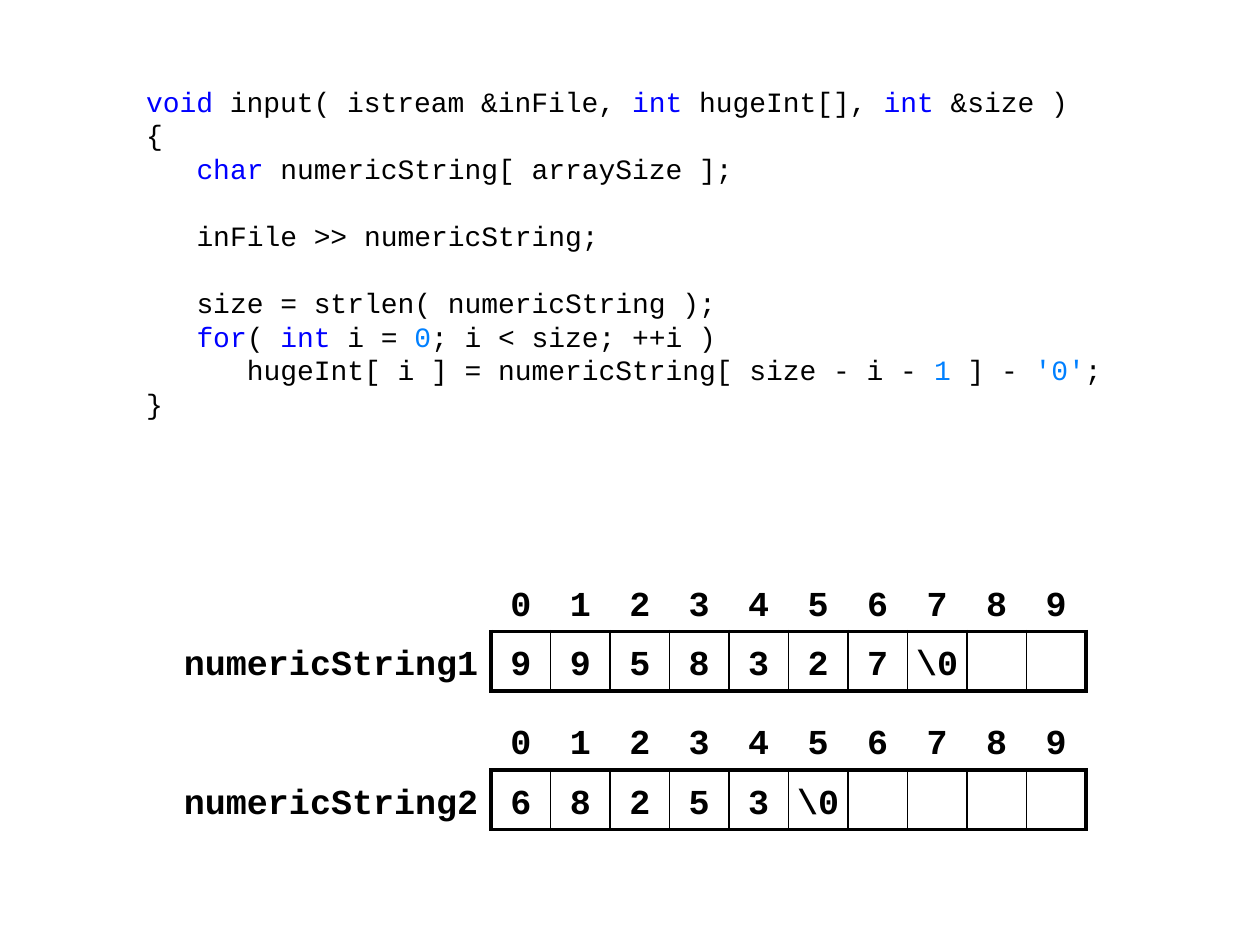
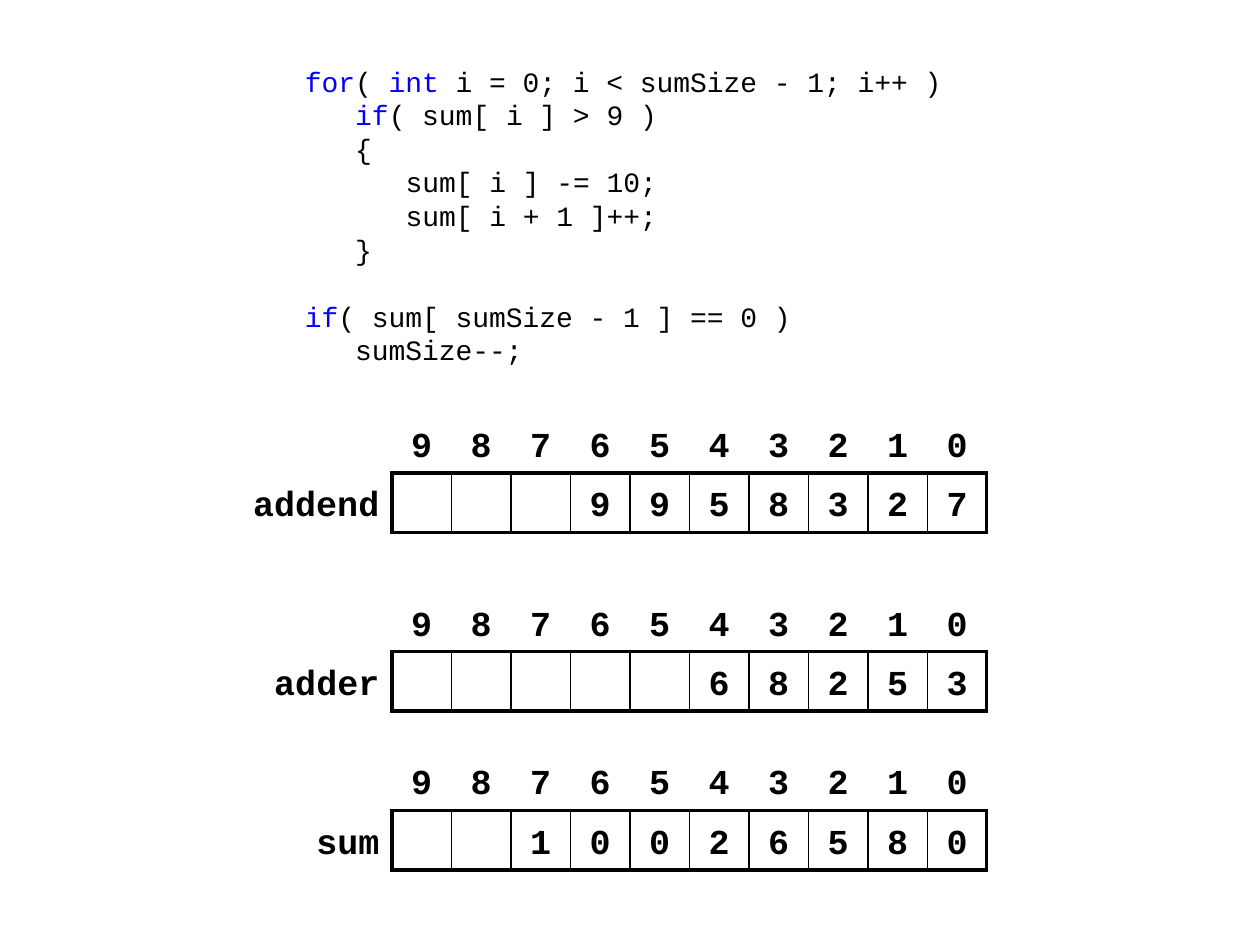
from pptx import Presentation
from pptx import util as u
from pptx.dml.color import RGBColor
from pptx.enum import text
from pptx.oxml.ns import qn
from lxml import etree

Pt = u.Pt
FONT = "Courier New"
BLACK, KEY, NUM = "000000", "0000FF", "0080FF"
CODE, PITCH, CHAR = 16, 19.2, 9.6   # code size, line pitch, letter width
BOX, THICK, THIN = 34, 2.25, 1      # array cell side and its borders
PLAIN = "{2D5ABB26-0587-4C30-8999-92F81FD0307C}"  # table style without grid

UP = "0123456789"
DOWN = UP[::-1]

# Words between backticks are coloured; leading spaces give the indent.
READ = """\
`void` input( istream &inFile, `int` hugeInt[], `int` &size )
{
   `char` numericString[ arraySize ];

   inFile >> numericString;

   size = strlen( numericString );
   `for`( `int` i = `0`; i < size; ++i )
      hugeInt[ i ] = numericString[ size - i - `1` ] - `'0'`;
}"""
CARRY = """\
`for`( `int` i = 0; i < sumSize - 1; i++ )
   `if`( sum[ i ] > 9 )
   {
      sum[ i ] -= 10;
      sum[ i + 1 ]++;
   }

`if`( sum[ sumSize - 1 ] == 0 )
   sumSize--;"""

# Arrays: name, top, width of the name column, values in display order
SLIDES = [
    dict(code=READ, box=(76.3, 43.2, 567.4, 203.8), right=620.6, index=UP,
         arrays=[("numericString1", 326.9, 181.4, [*"9958327", "\\0", "", ""]),
                 ("numericString2", 406.1, 181.4, [*"68253", "\\0", *[""] * 4])]),
    dict(code=CARRY, box=(167, 31.7, 386, 193), right=564, index=DOWN,
         arrays=[("addend", 236.2, 90.7, [*[""] * 3, *"9958327"]),
                 ("adder", 338.4, 79.4, [*[""] * 5, *"68253"]),
                 ("sum", 429.1, 56.7, [*[""] * 2, *"10026580"])]),
]


def style(font, size, color=BLACK, bold=False):
    """Set face, size, colour and weight of a font."""
    font.name, font.size, font.bold = FONT, Pt(size), bold
    font.color.rgb = RGBColor.from_string(color)


def add_code(slide, code, box):
    """Put coloured code into the body placeholder."""
    body = slide.placeholders[1]
    body.left, body.top, body.width, body.height = map(Pt, box)
    frame = body.text_frame
    frame.auto_size = text.MSO_AUTO_SIZE.NONE
    frame.vertical_anchor = text.MSO_ANCHOR.TOP
    frame.margin_top = Pt(5)
    gap, para = 0, None
    for line in code.split("\n"):
        if not line:
            gap += PITCH
            continue
        para = frame.add_paragraph() if para else frame.paragraphs[0]
        para.space_before, para.line_spacing = Pt(gap), Pt(PITCH)
        gap = 0
        style(para.font, CODE)
        bare = line.lstrip()
        props = para._p.get_or_add_pPr()
        props.set("marL", str(Pt((len(line) - len(bare)) * CHAR)))
        props.set("indent", "0")
        mark = etree.Element(qn("a:buNone"))
        props.find(qn("a:defRPr")).addprevious(mark)
        for i, part in enumerate(bare.split("`")):
            if part:
                run = para.add_run()
                run.text = part
                if i % 2:
                    color = KEY if part.isalpha() else NUM
                    run.font.color.rgb = RGBColor.from_string(color)


def add_edges(cell, edges):
    """Draw black cell borders from a dict of side to width."""
    props = cell._tc.get_or_add_tcPr()
    for side in "LRTB":
        if side in edges:
            line = etree.SubElement(props, qn("a:ln" + side), w=str(Pt(edges[side])))
            fill = etree.SubElement(line, qn("a:solidFill"))
            etree.SubElement(fill, qn("a:srgbClr"), val=BLACK)


def add_array(slide, index, right, name, top, wide, values):
    """Draw a named array with its index row above."""
    rows = [["", *index], [name, *values]]
    last = len(index)
    width = wide + last * BOX
    table = slide.shapes.add_table(2, last + 1, Pt(right - width), Pt(top),
                                   Pt(width), Pt(2 * BOX)).table
    table.first_row = table.horz_banding = False
    table._tbl.tblPr.find(qn("a:tableStyleId")).text = PLAIN
    for c, col in enumerate(table.columns):
        col.width = Pt(BOX if c else wide)
    for r, row in enumerate(rows):
        table.rows[r].height = Pt(BOX)
        for c, word in enumerate(row):
            cell = table.cell(r, c)
            cell.margin_top = cell.margin_bottom = Pt(1.4)
            cell.margin_left = Pt(0 if c else 2.9)
            cell.margin_right = Pt(0 if c else 7.2)
            cell.vertical_anchor = text.MSO_ANCHOR.MIDDLE
            para = cell.text_frame.paragraphs[0]
            para.alignment = text.PP_ALIGN.CENTER if c else text.PP_ALIGN.RIGHT
            para.line_spacing = 1.25
            style(para.font, 20, bold=True)
            if word:
                para.add_run().text = word
            if r and c:
                add_edges(cell, dict(L=THICK if c == 1 else THIN,
                                     R=THICK if c == last else THIN,
                                     T=THICK, B=THICK))
            elif r:
                add_edges(cell, dict(R=THICK))
            elif c:
                add_edges(cell, dict(B=THICK))
            cell.fill.background()


def main():
    """Build and save the slides."""
    deck = Presentation()
    deck.slide_width, deck.slide_height = Pt(720), Pt(540)
    for item in SLIDES:
        slide = deck.slides.add_slide(deck.slide_layouts[1])
        title = slide.shapes.title._element
        title.getparent().remove(title)
        add_code(slide, item["code"], item["box"])
        for array in item["arrays"]:
            add_array(slide, item["index"], item["right"], *array)
    deck.save("out.pptx")


main()
